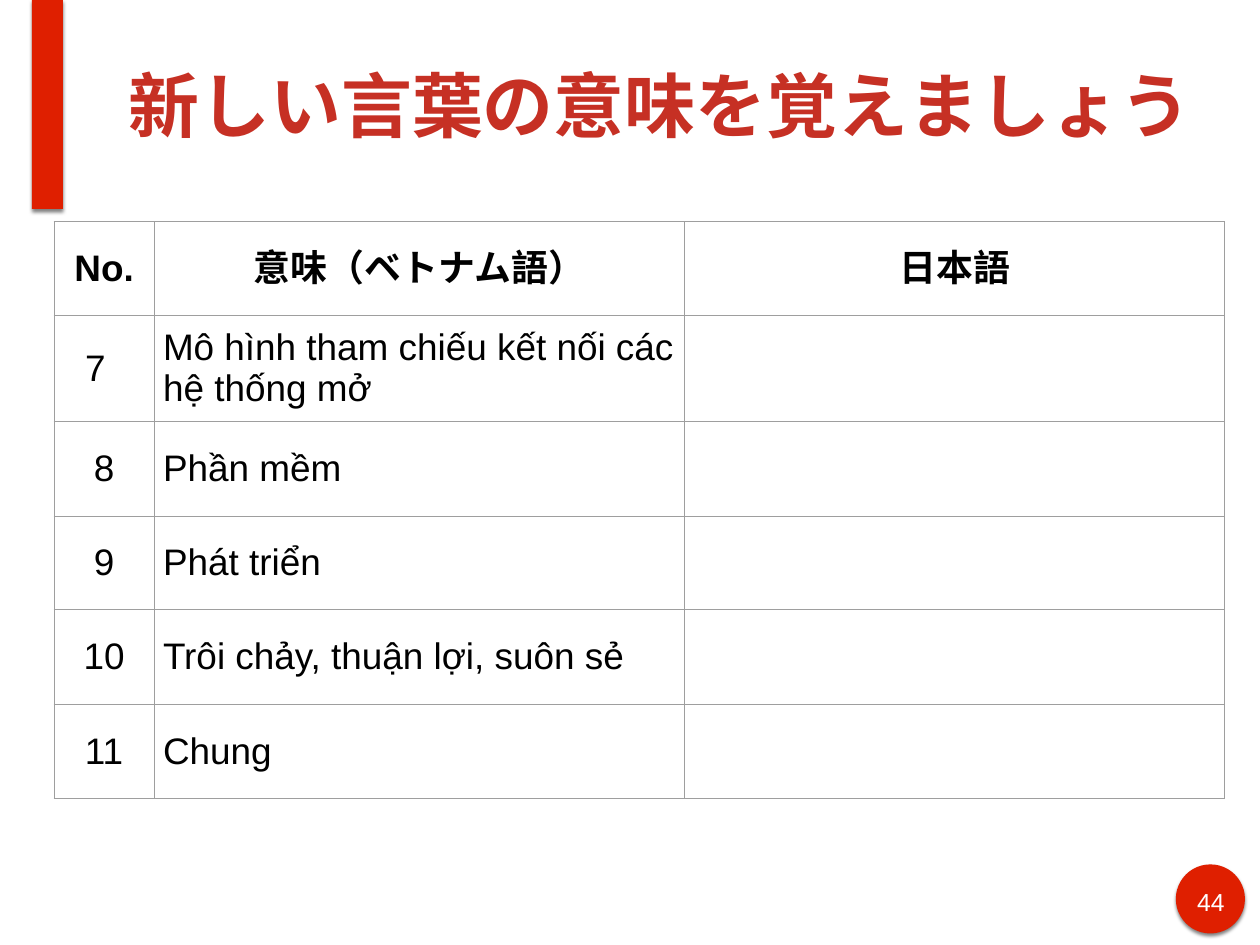
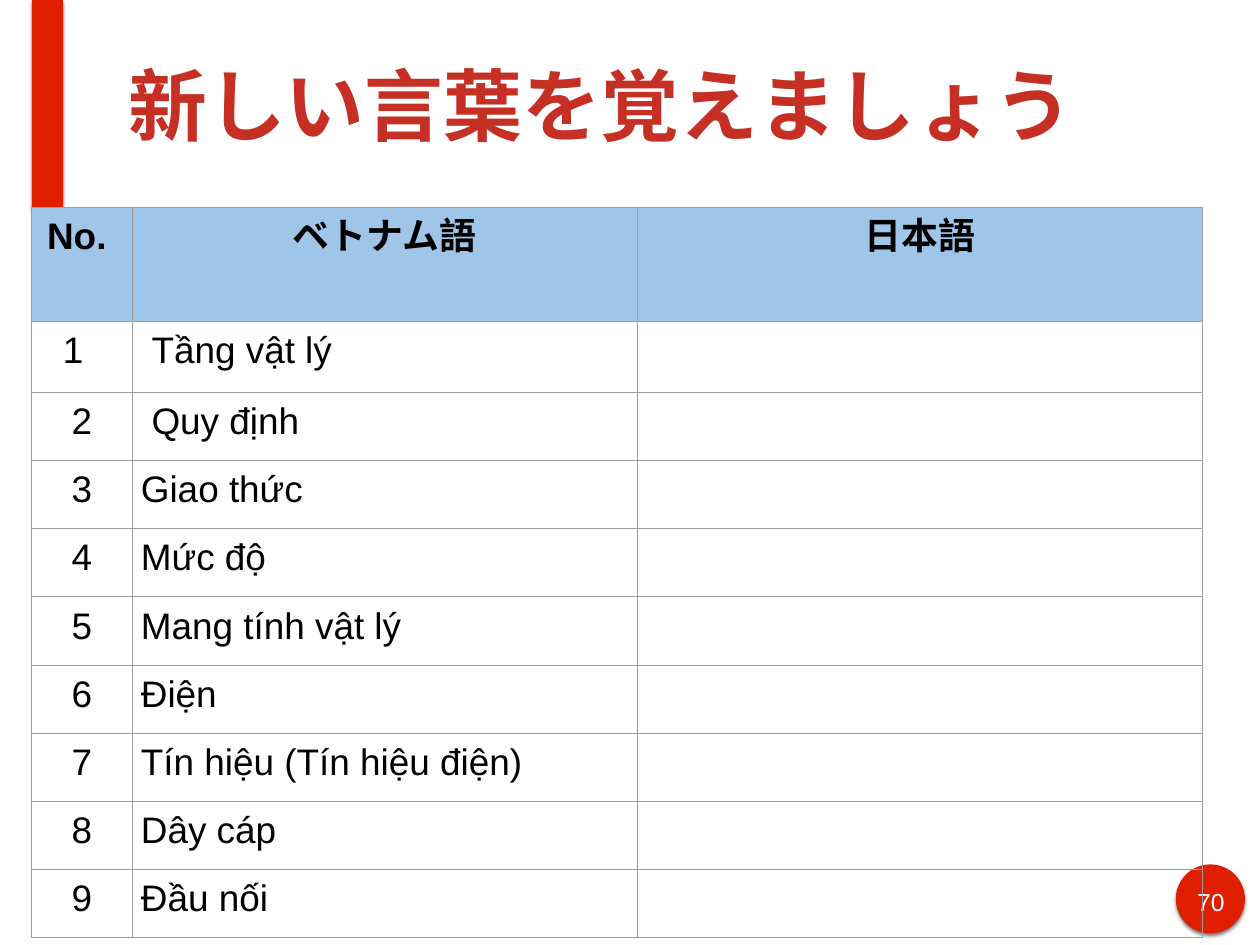
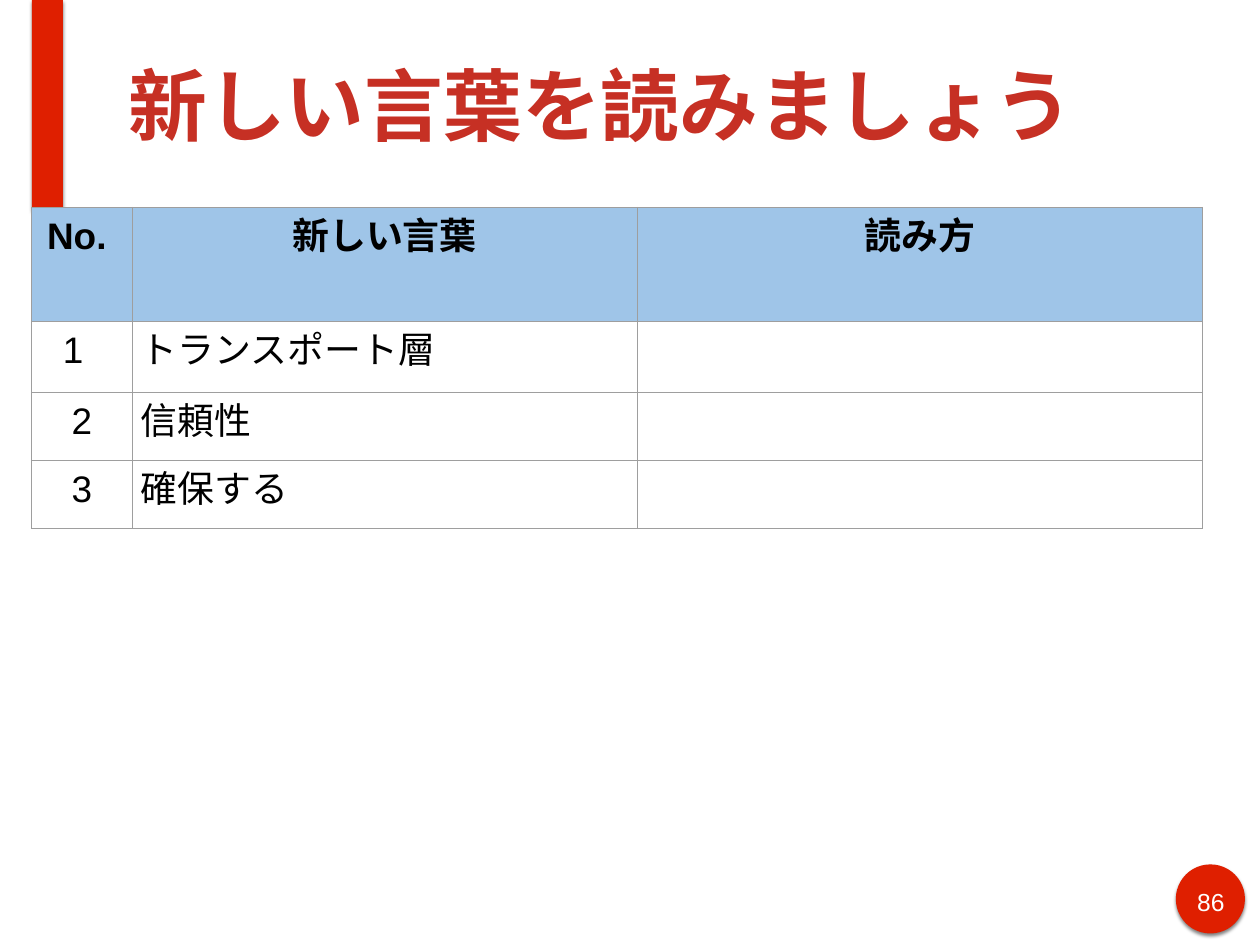
from dataclasses import dataclass

from lxml import etree
from pptx import Presentation
from pptx.dml.color import RGBColor
from pptx.enum.shapes import MSO_SHAPE
from pptx.enum.text import MSO_ANCHOR, MSO_AUTO_SIZE, PP_ALIGN
from pptx.oxml.ns import qn
from pptx.util import Emu, Inches, Pt

CENTER, LEFT = PP_ALIGN.CENTER, PP_ALIGN.LEFT
TOP, MIDDLE = MSO_ANCHOR.TOP, MSO_ANCHOR.MIDDLE
TITLE_ONLY = 5


@dataclass(frozen=True)
class Theme:
    font: str = "Arial"
    accent: str = "DF1F00"
    title: str = "C63024"
    ink: str = "000000"
    paper: str = "FFFFFF"
    grid: str = "9E9E9E"
    header: str = "9FC5E8"
    cell_size: float = 30
    number_size: float = 20
    grid_width: float = 0.75
    cell_inset: float = 0.1
    text_inset: float = 0.06


THEME = Theme()
SLIDE_SIZE = (14.22, 10.67)
BAND_BOX = (0.36, 0, 0.35, 2.36)
BADGE_BOX = (13.27, 9.76, 0.78, 0.78)
NUMBER_BOX = (13.42, 9.95, 0.49, 0.39)
TITLE_BOX = (1.39, 0.12, 12.14, 2.12)


def inches(box):
    return [Inches(length) for length in box]


def add_xml(parent, tag, **attributes):
    return etree.SubElement(parent, qn(tag), attributes)


def set_insets(target, inset):
    target.margin_left = target.margin_right = Inches(inset)
    target.margin_top = target.margin_bottom = Inches(inset)


def write(frame, text, *, size, color=THEME.ink, bold=False, align=LEFT,
          margin=0, indent=0):
    para = frame.paragraphs[0]
    para.alignment = align
    if margin:
        properties = para._p.get_or_add_pPr()
        properties.set("marL", str(Inches(margin)))
        properties.set("indent", str(Inches(indent)))
    span = para.add_run()
    span.text = text
    span.font.size = Pt(size)
    span.font.bold = bold
    span.font.color.rgb = RGBColor.from_string(color)
    span.font.name = THEME.font
    add_xml(span.font._element, "a:ea", typeface=THEME.font)


def add_shadow(shape):
    shape.shadow.inherit = False
    effects = shape.element.spPr.find(qn("a:effectLst"))
    shadow = add_xml(effects, "a:outerShdw", blurRad=str(Pt(3)),
                     dist=str(Pt(2)), dir="5400000", rotWithShape="0")
    color = add_xml(shadow, "a:srgbClr", val="000000")
    add_xml(color, "a:alpha", val="50000")


def decorate_master(deck, slide):
    """Draw the band and the number badge, then move them to the master."""
    master_tree = deck.slide_master.shapes.element
    accents = ((MSO_SHAPE.OVAL, BADGE_BOX), (MSO_SHAPE.RECTANGLE, BAND_BOX))
    for shape_id, (preset, box) in enumerate(accents, start=101):
        shape = slide.shapes.add_shape(preset, *inches(box))
        shape.fill.solid()
        shape.fill.fore_color.rgb = RGBColor.from_string(THEME.accent)
        shape.line.fill.background()
        add_shadow(shape)
        shape.element.nvSpPr.cNvPr.set("id", str(shape_id))
        master_tree.append(shape.element)


def add_title(slide, text, size):
    title = slide.shapes.title
    title.left, title.top, title.width, title.height = inches(TITLE_BOX)
    frame = title.text_frame
    frame.word_wrap = True
    frame.auto_size = MSO_AUTO_SIZE.NONE
    frame.vertical_anchor = MIDDLE
    set_insets(frame, THEME.text_inset)
    write(frame, text, size=size, color=THEME.title, bold=True)


def add_number(slide, number):
    frame = slide.shapes.add_textbox(*inches(NUMBER_BOX)).text_frame
    frame.word_wrap = True
    set_insets(frame, THEME.text_inset)
    write(frame, str(number), size=THEME.number_size, color=THEME.paper,
          align=CENTER)


def format_cell(cell, anchor, fill):
    set_insets(cell, THEME.cell_inset)
    cell.vertical_anchor = anchor
    properties = cell._tc.get_or_add_tcPr()
    for side in ("a:lnL", "a:lnR", "a:lnT", "a:lnB"):
        line = add_xml(properties, side, w=str(Pt(THEME.grid_width)))
        add_xml(add_xml(line, "a:solidFill"), "a:srgbClr", val=THEME.grid)
    if fill:
        cell.fill.solid()
        cell.fill.fore_color.rgb = RGBColor.from_string(fill)
    else:
        cell.fill.background()


def add_word_table(slide, origin, columns, heights, headings, words, *,
                   start=1, anchor=TOP, header_fill=None, indented=0):
    """Number the words from start; the first `indented` words are set in."""
    box = inches((*origin, sum(columns), sum(heights)))
    table = slide.shapes.add_table(len(heights), len(columns), *box).table
    table.first_row = table.horz_banding = False
    for column, width in zip(table.columns, columns):
        column.width = Inches(width)
    for index, (row, height) in enumerate(zip(table.rows, heights)):
        row.height = Inches(height)
        for cell in row.cells:
            format_cell(cell, anchor, None if index else header_fill)

    for column, heading in enumerate(headings):
        write(table.cell(0, column).text_frame, heading,
              size=THEME.cell_size, bold=True, align=CENTER)
    for index, word in enumerate(words):
        number_format = ({"align": CENTER} if index
                         else {"margin": 0.5, "indent": -0.25})
        write(table.cell(index + 1, 0).text_frame, str(start + index),
              size=THEME.cell_size, **number_format)
        write(table.cell(index + 1, 1).text_frame, word,
              size=THEME.cell_size, margin=0.12 if index < indented else 0)


def add_word_slide(deck, number, title, title_size):
    slide = deck.slides.add_slide(deck.slide_layouts[TITLE_ONLY])
    add_title(slide, title, title_size)
    add_number(slide, number)
    return slide


def add_blue_table(slide, headings, words, **options):
    heights = [1.29, 0.8] + [0.77] * (len(words) - 1)
    add_word_table(slide, (0.36, 2.34), (1.13, 5.7, 6.38), heights,
                   headings, words, header_fill=THEME.header, **options)


def main():
    deck = Presentation()
    deck.slide_width, deck.slide_height = (Emu(x) for x in inches(SLIDE_SIZE))

    meanings = add_word_slide(deck, 44, "新しい言葉の意味を覚えましょう", 57.6)
    decorate_master(deck, meanings)
    add_word_table(
        meanings, (0.61, 2.5), (1.13, 5.99, 6.09),
        (1.06, 1.01, 1.07, 1.05, 1.07, 1.07),
        ("No.", "意味（ベトナム語）", "日本語"),
        ("Mô hình tham chiếu kết nối các hệ thống mở", "Phần mềm",
         "Phát triển", "Trôi chảy, thuận lợi, suôn sẻ", "Chung"),
        start=7, anchor=MIDDLE)

    vocabulary = add_word_slide(deck, 70, "新しい言葉を覚えましょう", 64)
    add_blue_table(
        vocabulary, ("No. ", "ベトナム語", "日本語"),
        ("Tầng vật lý", "Quy định", "Giao thức", "Mức độ",
         "Mang tính vật lý", "Điện", "Tín hiệu (Tín hiệu điện)", "Dây cáp",
         "Đầu nối"),
        indented=2)

    readings = add_word_slide(deck, 86, "新しい言葉を読みましょう", 64)
    add_blue_table(readings, ("No. ", "新しい言葉", "読み方"),
                   ("トランスポート層", "信頼性", "確保する"))

    deck.save("out.pptx")


if __name__ == "__main__":
    main()
